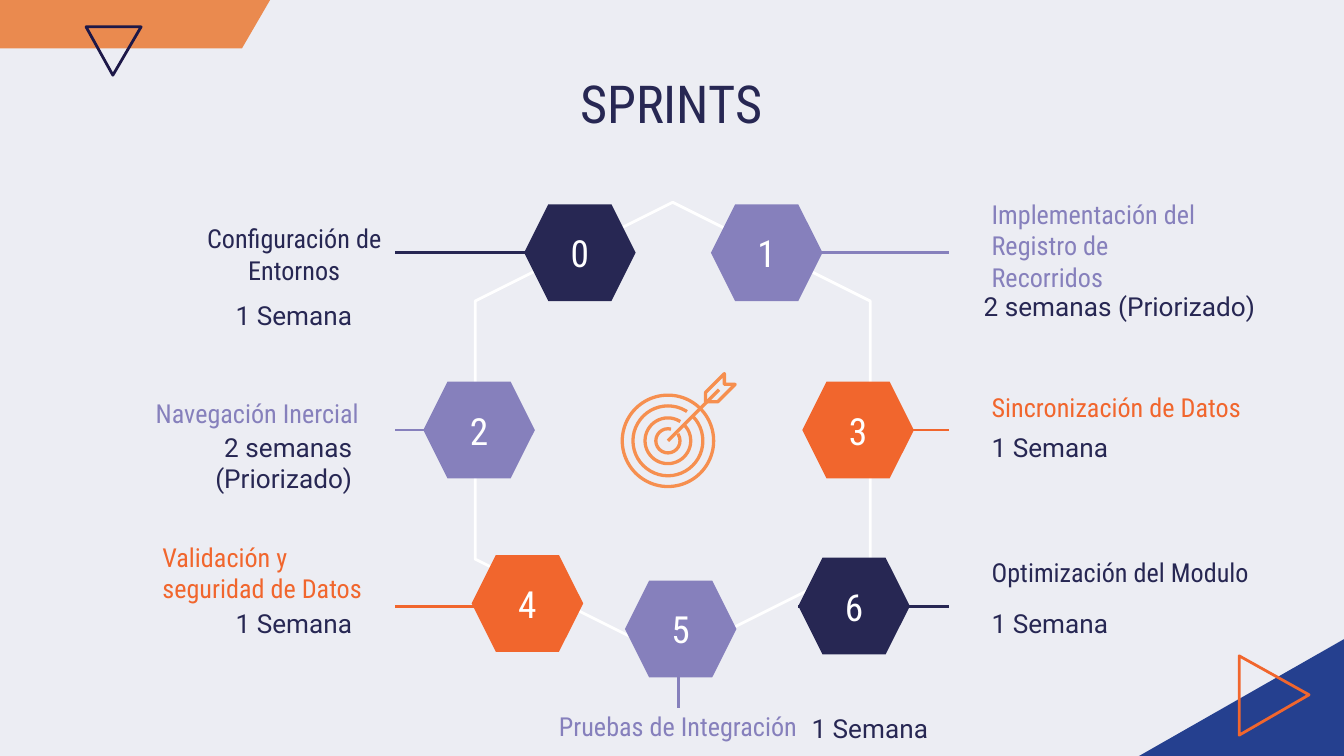
from dataclasses import dataclass

import pptx
import pptx.dml.color
import pptx.enum.shapes
import pptx.enum.text
import pptx.oxml
import pptx.oxml.ns
import pptx.util

Inches = pptx.util.Inches
Shape = pptx.enum.shapes.MSO_SHAPE
Align = pptx.enum.text.PP_ALIGN
Anchor = pptx.enum.text.MSO_ANCHOR

NAVY, LILAC, ORANGE = "272753", "8680BC", "F1662D"
WHITE, BACKGROUND, ICON = "FFFFFF", "ECEDF3", "F68F4F"
BANNER, DARK_OUTLINE, CORNER = "EA8A4F", "1D1848", "25408F"
HEADING_FONT, BODY_FONT = "Roboto Condensed", "Roboto"
HEXAGON_SIZE = (0.83, 0.72)

Point = tuple[float, float]
Area = tuple[float, float, float, float]


@dataclass
class Sprint:
    number: int
    color: str
    hexagon: Point
    line: tuple[Point, Point]
    name: str
    name_area: Area
    name_align: Align
    duration: str
    duration_area: Area
    duration_align: Align


@dataclass
class Ring:
    """A circle of the target, open between two angles in degrees."""
    radius: float
    start: float
    end: float


SPRINTS = [
    Sprint(0, NAVY, (3.9, 1.52), ((4.3, 1.88), (2.94, 1.88)),
           "Configuración de Entornos", (1.22, 1.73, 1.94, 0.32), Align.CENTER,
           "1 Semana", (0.78, 2.13, 1.94, 0.63), Align.RIGHT),
    Sprint(1, LILAC, (5.29, 1.52), ((5.71, 1.88), (7.06, 1.88)),
           "Implementación del Registro de Recorridos", (7.28, 1.46, 1.94, 0.73), Align.LEFT,
           "2 semanas (Priorizado)", (7.22, 2.06, 2.45, 0.63), Align.LEFT),
    Sprint(2, LILAC, (3.15, 2.84), ((2.94, 3.2), (3.59, 3.2)),
           "Navegación Inercial", (0.83, 2.91, 1.94, 0.32), Align.RIGHT,
           "2 semanas (Priorizado)", (0.78, 3.11, 1.94, 0.63), Align.RIGHT),
    Sprint(3, ORANGE, (5.97, 2.84), ((6.41, 3.2), (7.06, 3.2)),
           "Sincronización de Datos", (7.28, 2.87, 2.31, 0.32), Align.LEFT,
           "1 Semana", (7.28, 3.11, 1.94, 0.63), Align.LEFT),
    Sprint(4, ORANGE, (3.51, 4.13), ((4.3, 4.51), (2.94, 4.51)),
           "Validación y seguridad de Datos", (1.11, 4.1, 1.84, 0.32), Align.LEFT,
           "1 Semana", (0.78, 4.42, 1.94, 0.63), Align.RIGHT),
    Sprint(5, LILAC, (4.65, 4.32), ((5.05, 5.03), (5.05, 5.27)),
           "Pruebas de Integración", (4.06, 5.11, 1.98, 0.59), Align.LEFT,
           "1 Semana", (5.94, 5.2, 1.94, 0.63), Align.LEFT),
    Sprint(6, NAVY, (5.94, 4.15), ((5.94, 4.51), (7.06, 4.51)),
           "Optimización del Modulo", (7.28, 4.1, 2.45, 0.32), Align.LEFT,
           "1 Semana", (7.28, 4.42, 1.94, 0.63), Align.LEFT),
]

RINGS = [Ring(0.26, -43, -57), Ring(0.17, -43, -57), Ring(0.09, -35, -75)]
TARGET_CENTER = (4.97, 3.28)
OUTER_RADIUS = 0.34


def rgb(color: str) -> pptx.dml.color.RGBColor:
    return pptx.dml.color.RGBColor.from_string(color)


def paint(shape, fill: str | None = None, line: str | None = None, width: float = 1.5) -> None:
    shape.shadow.inherit = False
    for part, color in ((shape.fill, fill), (shape.line.fill, line)):
        if color:
            part.solid()
            part.fore_color.rgb = rgb(color)
        else:
            part.background()
    if line:
        shape.line.width = pptx.util.Pt(width)


def add_preset(page, kind, area: Area, **colors):
    shape = page.shapes.add_shape(kind, *map(Inches, area))
    paint(shape, **colors)
    return shape


def add_hexagon(page, area: Area, slant: float = 0.25, **colors):
    hexagon = add_preset(page, Shape.HEXAGON, area, **colors)
    hexagon.adjustments[0] = slant
    return hexagon


def add_outline(page, points: list[Point], color: str, width: float = 1.5) -> None:
    corners = [(Inches(x), Inches(y)) for x, y in points]
    builder = page.shapes.build_freeform(*corners[0])
    builder.add_line_segments(corners[1:], close=True)
    paint(builder.convert_to_shape(), line=color, width=width)


def add_line(page, start: Point, end: Point, color: str, width: float = 1.5) -> None:
    line = page.shapes.add_connector(
        pptx.enum.shapes.MSO_CONNECTOR.STRAIGHT, *map(Inches, (*start, *end)))
    line.line.color.rgb = rgb(color)
    line.line.width = pptx.util.Pt(width)
    properties = line._element.find(pptx.oxml.ns.qn("p:spPr"))
    properties.append(pptx.oxml.parse_xml(
        f"<a:effectLst {pptx.oxml.ns.nsdecls('a')}/>"))


def write(box, text: str, color: str, size: float = 14, font: str = HEADING_FONT,
          align=Align.LEFT, anchor=Anchor.MIDDLE) -> None:
    frame = box.text_frame
    inset = Inches(0.1)
    frame_format = {"word_wrap": True, "auto_size": pptx.enum.text.MSO_AUTO_SIZE.NONE,
                    "vertical_anchor": anchor, "margin_left": inset, "margin_right": inset,
                    "margin_top": inset, "margin_bottom": inset}
    for name, value in frame_format.items():
        setattr(frame, name, value)
    para = frame.paragraphs[0]
    para.alignment = align
    span = para.add_run()
    span.text = text
    for name, value in {"name": font, "size": pptx.util.Pt(size), "bold": False}.items():
        setattr(span.font, name, value)
    span.font.color.rgb = rgb(color)


def add_text(page, area: Area, text: str, color: str, **text_format) -> None:
    write(page.shapes.add_textbox(*map(Inches, area)), text, color, **text_format)


def circle_area(radius: float) -> Area:
    x, y = TARGET_CENTER
    return x - radius, y - radius, 2 * radius, 2 * radius


def add_target(page) -> None:
    stroke = {"line": ICON, "width": 1.75}
    add_preset(page, Shape.OVAL, circle_area(OUTER_RADIUS), **stroke)
    for ring in RINGS:
        arc = add_preset(page, Shape.ARC, circle_area(ring.radius), **stroke)
        for index, angle in enumerate((ring.start, ring.end)):
            arc.adjustments[index] = (angle % 360) * 0.6  # 60000 units a degree, in 100000ths
    add_line(page, TARGET_CENTER, (5.35, 2.9), ICON, 1.75)
    feathers = [(5.25, 2.92), (5.39, 2.78), (5.39, 2.86), (5.47, 2.86), (5.34, 2.99), (5.25, 2.99)]
    add_outline(page, feathers, ICON, 1.75)


def add_decoration(page) -> None:
    add_hexagon(page, (-0.22, -0.36, 2.23, 0.72), 0.29, fill=BANNER)
    add_outline(page, [(1.05, 0.2), (0.84, 0.56), (0.64, 0.2)], DARK_OUTLINE)
    add_preset(page, Shape.DIAMOND, (8.44, 4.69, 3.35, 1.91), fill=CORNER)
    add_outline(page, [(9.22, 4.88), (9.74, 5.17), (9.22, 5.47)], ORANGE)


def add_title(page, text: str) -> None:
    title = page.shapes.title
    area = {"left": 1.27, "top": 0.43, "width": 7.45, "height": 0.63}
    for name, value in area.items():
        setattr(title, name, Inches(value))
    write(title, text, NAVY, size=28, align=Align.CENTER, anchor=Anchor.TOP)


def main() -> None:
    deck = pptx.Presentation()
    deck.slide_width, deck.slide_height = Inches(10), Inches(10 * 9 / 16)
    page = deck.slides.add_slide(deck.slide_layouts[5])
    page.background.fill.solid()
    page.background.fill.fore_color.rgb = rgb(BACKGROUND)

    add_decoration(page)
    add_title(page, "SPRINTS")
    add_hexagon(page, (3.31, 1.73, 3.39, 2.94), line=WHITE).rotation = 90
    for sprint in SPRINTS:
        add_line(page, *sprint.line, sprint.color)
        hexagon = add_hexagon(page, sprint.hexagon + HEXAGON_SIZE, fill=sprint.color)
        write(hexagon, str(sprint.number), WHITE, size=20, align=Align.CENTER)
        add_text(page, sprint.name_area, sprint.name, sprint.color, align=sprint.name_align)
        add_text(page, sprint.duration_area, sprint.duration, NAVY, font=BODY_FONT,
                 align=sprint.duration_align, anchor=Anchor.TOP)
    add_target(page)
    deck.save("out.pptx")


if __name__ == "__main__":
    main()
